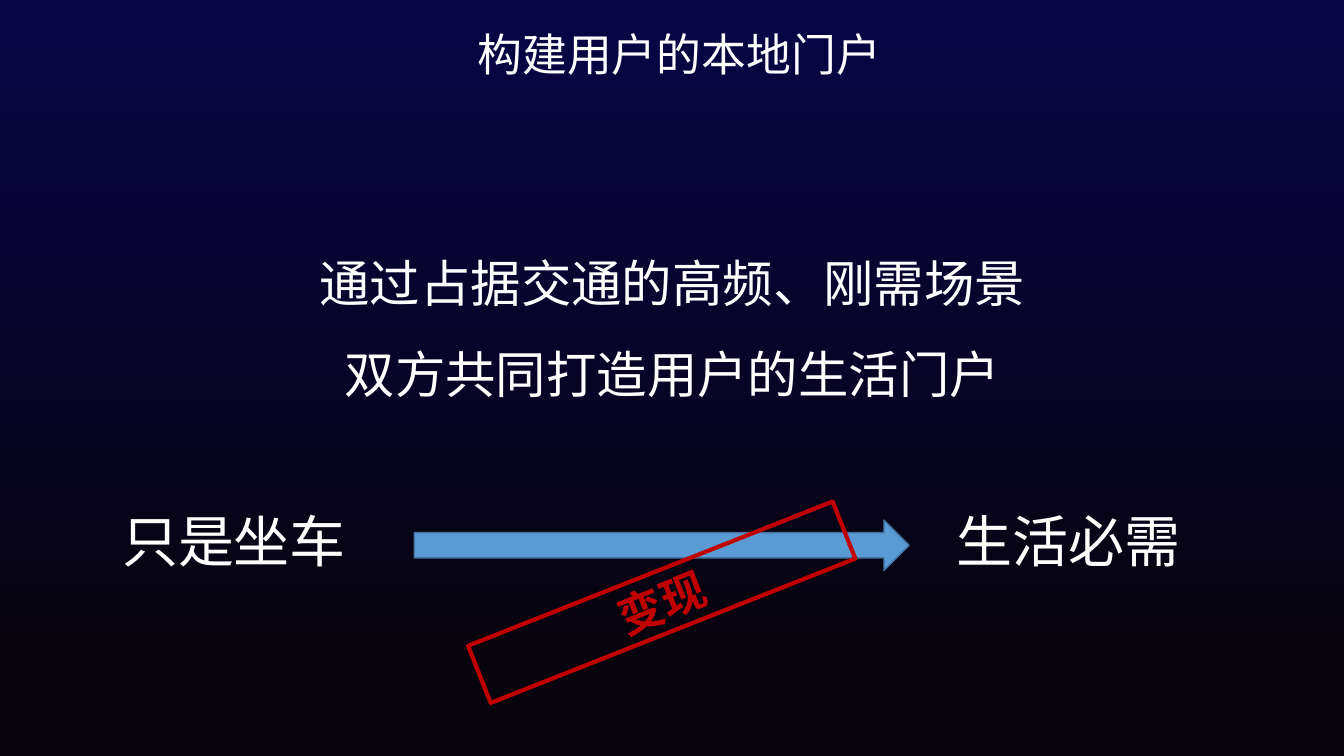
from lxml.etree import SubElement
from pptx import Presentation
from pptx.dml.color import RGBColor
from pptx.enum.shapes import MSO_SHAPE
from pptx.enum.text import MSO_ANCHOR, PP_ALIGN
from pptx.oxml.ns import qn
from pptx.util import Pt

FONT = "Noto Sans CJK SC"
COLORS = {
    "sky": "070446",
    "night": "07040E",
    "text": "FFFFFF",
    "arrow": "5B9BD5",
    "arrow_edge": "43739E",
    "stamp": "C00000",
}


def color(name):
    return RGBColor.from_string(COLORS[name])


def write_text(shape, lines, font_format, color_name, anchor, spacing):
    frame = shape.text_frame
    frame.word_wrap = True
    frame.vertical_anchor = anchor
    frame.text = "\n".join(lines)
    for paragraph in frame.paragraphs:
        paragraph.alignment = PP_ALIGN.CENTER
        paragraph.line_spacing = spacing
        font = paragraph.runs[0].font
        for attribute, value in font_format.items():
            setattr(font, attribute, value)
        font.color.rgb = color(color_name)
        font.name = FONT
        SubElement(paragraph.runs[0]._r.get_or_add_rPr(), qn("a:ea"), typeface=FONT)


presentation = Presentation()
presentation.slide_width = Pt(960)
presentation.slide_height = Pt(540)
slide = presentation.slides.add_slide(presentation.slide_layouts[6])

background = slide.background.fill
background.gradient()
background.gradient_angle = 270
for stop, position, name in zip(background.gradient_stops, (0, 0.87), ("sky", "night")):
    stop.position = position
    stop.color.rgb = color(name)

arrow = slide.shapes.add_shape(
    MSO_SHAPE.RIGHT_ARROW, Pt(295.9), Pt(371.5), Pt(353.5), Pt(36)
)
arrow.shadow.inherit = False
arrow.fill.solid()
arrow.fill.fore_color.rgb = color("arrow")
arrow.line.color.rgb = color("arrow_edge")
arrow.line.width = Pt(1)

text_boxes = [
    (["构建用户的本地门户"], (71.3, 13.7, 828, 54.7), 32, MSO_ANCHOR.MIDDLE, 0.9),
    (["只是坐车"], (23.8, 358.6, 286.6, 55.4), 40, MSO_ANCHOR.TOP, 1.0),
    (["生活必需"], (619.9, 358.6, 286.6, 55.4), 40, MSO_ANCHOR.TOP, 1.0),
    (
        ["通过占据交通的高频、刚需场景", "双方共同打造用户的生活门户"],
        (185, 154.8, 590.4, 130.3), 36, MSO_ANCHOR.TOP, 1.5,
    ),
]
for lines, box, size, anchor, spacing in text_boxes:
    text_box = slide.shapes.add_textbox(*map(Pt, box))
    write_text(text_box, lines, {"size": Pt(size)}, "text", anchor, spacing)

stamp = slide.shapes.add_shape(
    MSO_SHAPE.RECTANGLE, Pt(332.6), Pt(408.2), Pt(280.1), Pt(43.9)
)
stamp.shadow.inherit = False
stamp.rotation = 338.4
stamp.fill.background()
stamp.line.color.rgb = color("stamp")
stamp.line.width = Pt(3)
stamp_font = {"size": Pt(32), "bold": True}
write_text(stamp, ["变现"], stamp_font, "stamp", MSO_ANCHOR.MIDDLE, 1.0)

presentation.save("out.pptx")
